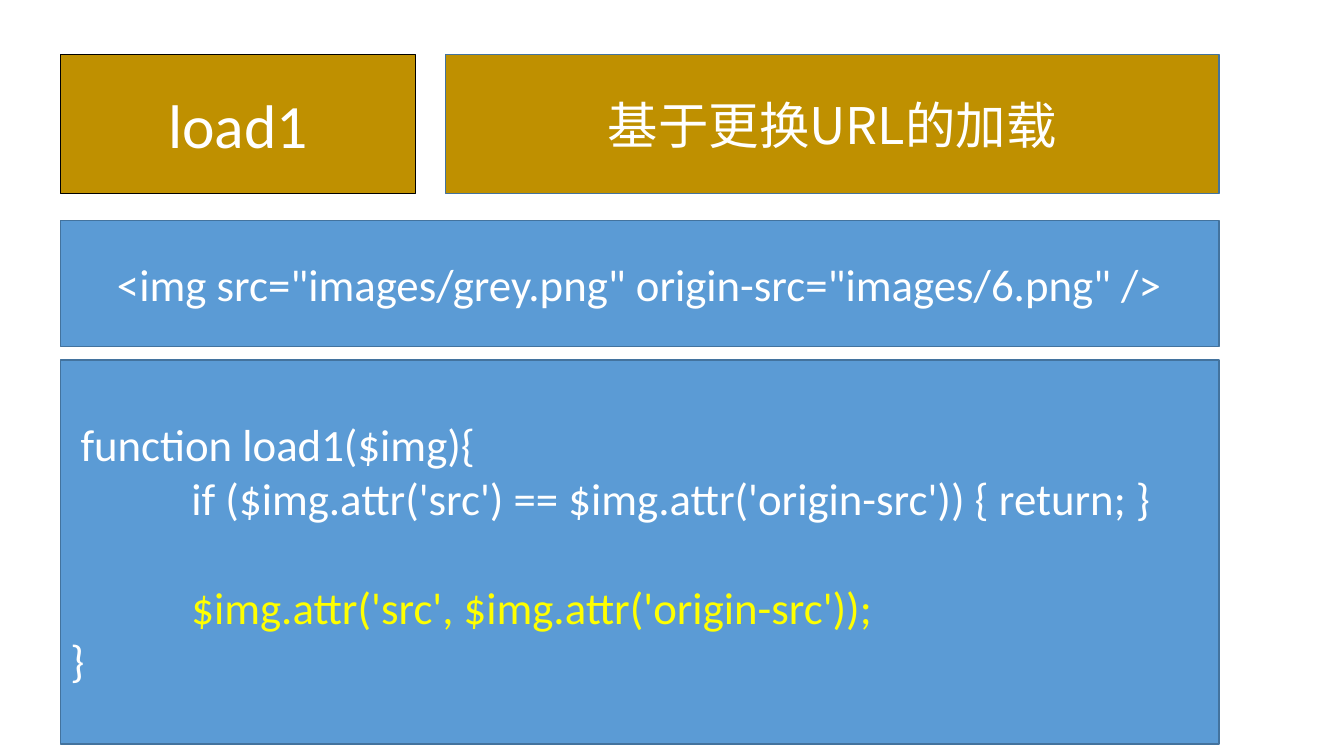
from dataclasses import dataclass

from lxml import etree
from pptx import Presentation
from pptx.dml.color import RGBColor
from pptx.enum.shapes import MSO_SHAPE
from pptx.enum.text import MSO_ANCHOR, PP_ALIGN
from pptx.oxml.ns import qn
from pptx.util import Inches, Pt

RECTANGLE = MSO_SHAPE.RECTANGLE
MIDDLE = MSO_ANCHOR.MIDDLE
CENTER, JUSTIFY = PP_ALIGN.CENTER, PP_ALIGN.JUSTIFY


@dataclass(frozen=True)
class Theme:
    gold: RGBColor = RGBColor(0xBF, 0x90, 0x00)
    blue: RGBColor = RGBColor(0x5B, 0x9B, 0xD5)
    edge: RGBColor = RGBColor(0x43, 0x73, 0x9E)
    black: RGBColor = RGBColor(0, 0, 0)
    white: RGBColor = RGBColor(0xFF, 0xFF, 0xFF)
    yellow: RGBColor = RGBColor(0xFF, 0xFF, 0)
    latin: str = "Calibri"
    chinese: str = "Noto Sans CJK SC"
    name_size: Pt = Pt(44)
    title_size: Pt = Pt(36)
    code_size: Pt = Pt(32)
    code_line: Pt = Pt(39)


theme = Theme()


def add_panel(left, top, width, height, fill, edge):
    panel = slide.shapes.add_shape(
        RECTANGLE, Inches(left), Inches(top), Inches(width), Inches(height))
    panel.shadow.inherit = False
    panel.fill.solid()
    panel.fill.fore_color.rgb = fill
    panel.line.color.rgb = edge
    panel.line.width = Pt(1)
    panel.text_frame.word_wrap = True
    panel.text_frame.vertical_anchor = MIDDLE
    return panel.text_frame


def write(paragraph, text, size, align=CENTER, color=theme.white, font=theme.latin):
    paragraph.text = text
    paragraph.alignment = align
    paragraph.font.size = size
    paragraph.font.name = font
    paragraph.font.color.rgb = color


presentation = Presentation()
presentation.slide_width = Inches(13.33)
presentation.slide_height = Inches(7.5)
slide = presentation.slides.add_slide(presentation.slide_layouts[6])

# Header: function name and what it does
function_name = add_panel(0.6, 0.54, 3.52, 1.38, theme.gold, theme.black)
write(function_name.paragraphs[0], "load1", theme.name_size)

title = add_panel(4.42, 0.54, 7.67, 1.38, theme.gold, theme.edge).paragraphs[0]
write(title, "基于更换URL的加载", theme.title_size, font=theme.chinese)
east_asian = etree.SubElement(title.runs[0].font._element, qn("a:ea"))
east_asian.set("typeface", theme.chinese)

# Image markup
markup = add_panel(0.6, 2.19, 11.49, 1.25, theme.blue, theme.edge)
write(markup.paragraphs[0],
      '<img src="images/grey.png" origin-src="images/6.png" />', theme.code_size)

# Function body: text, indent in inches, space before, colour
code_lines = [
    ("function load1($img){", 0.1, Pt(0), theme.white),
    ("if ($img.attr('src') == $img.attr('origin-src')) { return; }",
     1.2, Pt(0), theme.white),
    ("$img.attr('src', $img.attr('origin-src'));", 1.2, theme.code_line, theme.yellow),
    ("}", 0, Pt(0), theme.white),
]
code = add_panel(0.6, 3.57, 11.49, 3.81, theme.blue, theme.edge)
for number, (text, indent, gap, color) in enumerate(code_lines):
    line = code.add_paragraph() if number else code.paragraphs[0]
    write(line, text, theme.code_size, JUSTIFY, color)
    line.space_before = gap
    line._p.get_or_add_pPr().set("marL", str(Inches(indent)))

presentation.save("out.pptx")
